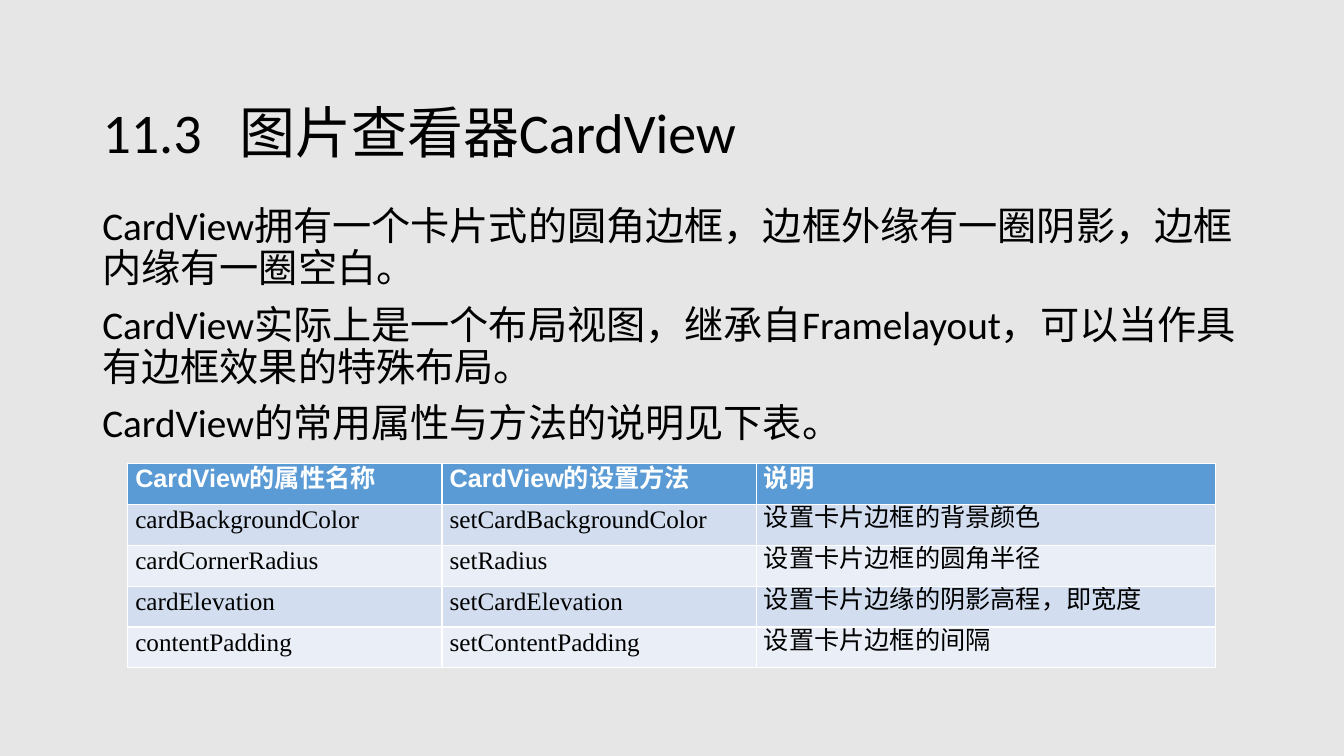
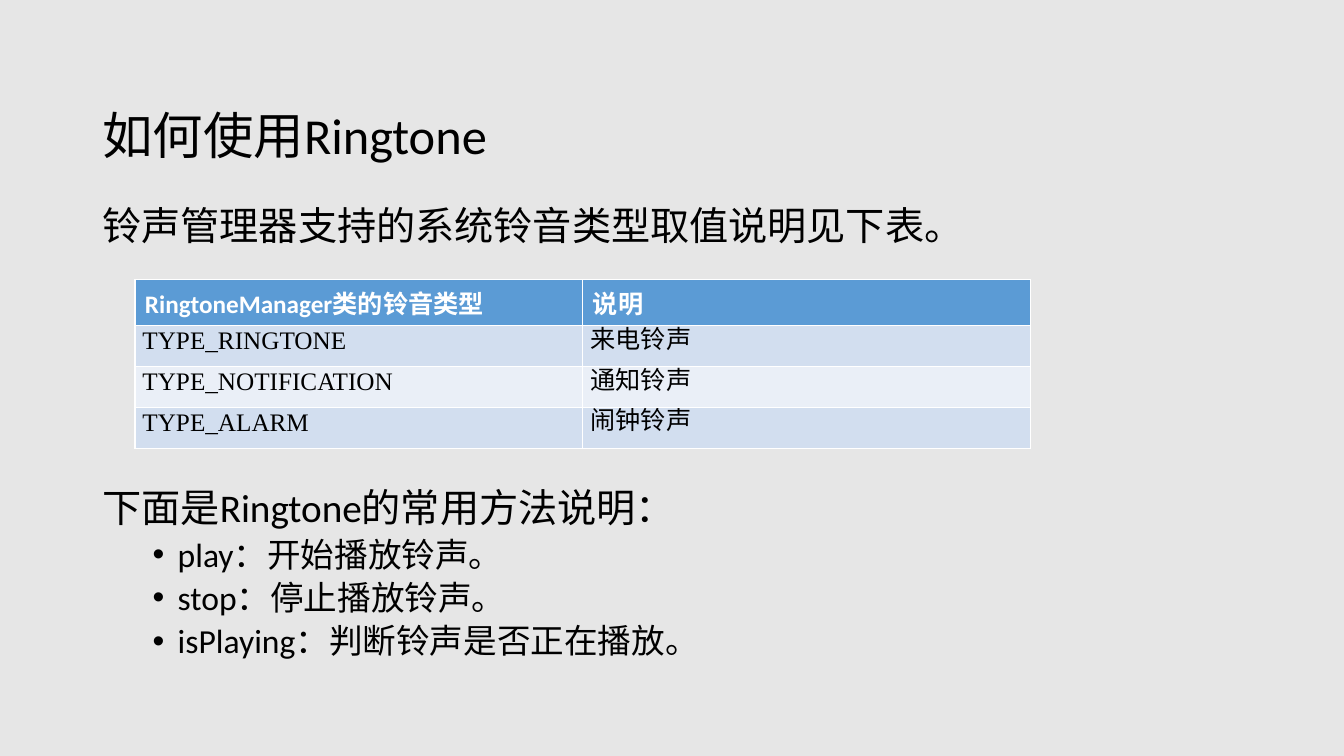
from lxml import etree
from pptx import Presentation
from pptx.dml.color import RGBColor
from pptx.enum.text import MSO_ANCHOR, MSO_AUTO_SIZE, PP_ALIGN
from pptx.oxml.ns import qn
from pptx.util import Cm, Pt

COLORS = {
    "background": "E6E6E6",
    "text": "000000",
    "header_text": "FFFFFF",
    "header_fill": "5B9BD5",
    "odd_row": "D2DEEF",
    "even_row": "EAEFF7",
}
BODY_FONT = "Calibri"
CELL_FONT = "Times New Roman"
LEFT, CONTENT_WIDTH = Cm(2.33), Cm(29.21)
BODY_TOP = Cm(5.08)
ROW_HEIGHT = Cm(1.03)


def color(name):
    return RGBColor.from_string(COLORS[name])


def style_font(paragraph, size, name=BODY_FONT, color_name="text", bold=False):
    font = paragraph.font
    font.size, font.name, font.bold = Pt(size), name, bold
    font.color.rgb = color(color_name)


def add_tab_stop(paragraph, position):
    tab_list = etree.SubElement(paragraph._p.get_or_add_pPr(), qn("a:tabLst"))
    etree.SubElement(tab_list, qn("a:tab"), pos=str(position), algn="l")


def add_bullet(paragraph):
    properties = paragraph._p.get_or_add_pPr()
    properties.set("marL", str(Cm(1.9)))
    properties.set("indent", str(Cm(-0.63)))
    etree.SubElement(properties, qn("a:buFont"), typeface="Arial")
    etree.SubElement(properties, qn("a:buChar"), char="•")


def add_titled_slide(presentation, text, size, top, tab_stop=None):
    slide = presentation.slides.add_slide(presentation.slide_layouts[5])
    title = slide.shapes.title
    title.left, title.top = LEFT, top
    title.width, title.height = CONTENT_WIDTH, Cm(3.68)
    frame = title.text_frame
    frame.text = text
    frame.vertical_anchor = MSO_ANCHOR.MIDDLE
    frame.auto_size = MSO_AUTO_SIZE.NONE
    paragraph = frame.paragraphs[0]
    paragraph.alignment = PP_ALIGN.LEFT
    paragraph.line_spacing = 0.9
    if tab_stop:
        add_tab_stop(paragraph, tab_stop)
    style_font(paragraph, size)
    return slide


def add_body(slide, top, height, lines, bullets=()):
    """Place plain lines, followed by bulleted lines one level down."""
    frame = slide.shapes.add_textbox(LEFT, top, CONTENT_WIDTH, height).text_frame
    frame.word_wrap = True
    for index, text in enumerate([*lines, *bullets]):
        paragraph = frame.paragraphs[0] if index == 0 else frame.add_paragraph()
        paragraph.text = text
        paragraph.line_spacing = 0.9
        is_bullet = index >= len(lines)
        if index:
            paragraph.space_before = Pt(5 if is_bullet else 10)
        if is_bullet:
            paragraph.level = 1
            add_bullet(paragraph)
        style_font(paragraph, 24 if is_bullet else 28)


def tighten_cell(cell, line_spacing):
    cell.margin_left = cell.margin_right = Cm(0.19)
    cell.margin_top = cell.margin_bottom = 0
    cell.text_frame.paragraphs[0].line_spacing = Pt(line_spacing)


def add_banded_table(slide, left, top, widths, rows, header_height,
                     header_font, header_spacing=None):
    height = header_height + ROW_HEIGHT * (len(rows) - 1)
    table = slide.shapes.add_table(
        len(rows), len(widths), left, top, sum(widths), height).table
    for column, width in zip(table.columns, widths):
        column.width = width
    for row_index, texts in enumerate(rows):
        is_header = row_index == 0
        table.rows[row_index].height = header_height if is_header else ROW_HEIGHT
        band = "odd_row" if row_index % 2 else "even_row"
        for column_index, text in enumerate(texts):
            cell = table.cell(row_index, column_index)
            cell.text = text
            cell.vertical_anchor = MSO_ANCHOR.MIDDLE
            cell.fill.solid()
            cell.fill.fore_color.rgb = color("header_fill" if is_header else band)
            paragraph = cell.text_frame.paragraphs[0]
            if not is_header:
                tighten_cell(cell, 13)
                style_font(paragraph, 18, CELL_FONT)
                continue
            if header_spacing:
                tighten_cell(cell, header_spacing)
                paragraph.alignment = PP_ALIGN.JUSTIFY
            style_font(paragraph, 18, header_font, "header_text", bold=True)


def build_card_view_slide(presentation):
    slide = add_titled_slide(
        presentation, "11.3\t图片查看器CardView", 40, Cm(1.57), tab_stop=Cm(3.45))
    add_body(slide, BODY_TOP, Cm(6.4), [
        "CardView拥有一个卡片式的圆角边框，边框外缘有一圈阴影，边框内缘有一圈空白。",
        "CardView实际上是一个布局视图，继承自Framelayout，可以当作具有边框效果的特殊布局。",
        "CardView的常用属性与方法的说明见下表。",
    ])
    rows = [
        ("CardView的属性名称", "CardView的设置方法", "说明"),
        ("cardBackgroundColor", "setCardBackgroundColor", "设置卡片边框的背景颜色"),
        ("cardCornerRadius", "setRadius", "设置卡片边框的圆角半径"),
        ("cardElevation", "setCardElevation", "设置卡片边缘的阴影高程，即宽度"),
        ("contentPadding", "setContentPadding", "设置卡片边框的间隔"),
    ]
    add_banded_table(slide, Cm(3.22), Cm(11.68), [Cm(7.92), Cm(7.92), Cm(11.57)],
                     rows, ROW_HEIGHT, "Arial", header_spacing=15.6)


def build_ringtone_slide(presentation):
    slide = add_titled_slide(presentation, "如何使用Ringtone", 36, Cm(1.65))
    add_body(slide, BODY_TOP, Cm(1.4),
             ["铃声管理器支持的系统铃音类型取值说明见下表。"])
    rows = [
        ("RingtoneManager类的铃音类型", "说明"),
        ("TYPE_RINGTONE", "来电铃声"),
        ("TYPE_NOTIFICATION", "通知铃声"),
        ("TYPE_ALARM", "闹钟铃声"),
    ]
    add_banded_table(slide, Cm(3.4), Cm(7.04), [Cm(11.29)] * 2,
                     rows, Cm(1.17), BODY_FONT)
    add_body(slide, Cm(12.19), Cm(5), ["下面是Ringtone的常用方法说明："], [
        "play：开始播放铃声。",
        "stop：停止播放铃声。",
        "isPlaying：判断铃声是否正在播放。",
    ])


def main():
    presentation = Presentation()
    presentation.slide_width, presentation.slide_height = Cm(33.87), Cm(19.05)
    # Shared background
    background = presentation.slide_master.background.fill
    background.solid()
    background.fore_color.rgb = color("background")
    # Slides
    build_card_view_slide(presentation)
    build_ringtone_slide(presentation)
    presentation.save("out.pptx")


if __name__ == "__main__":
    main()
